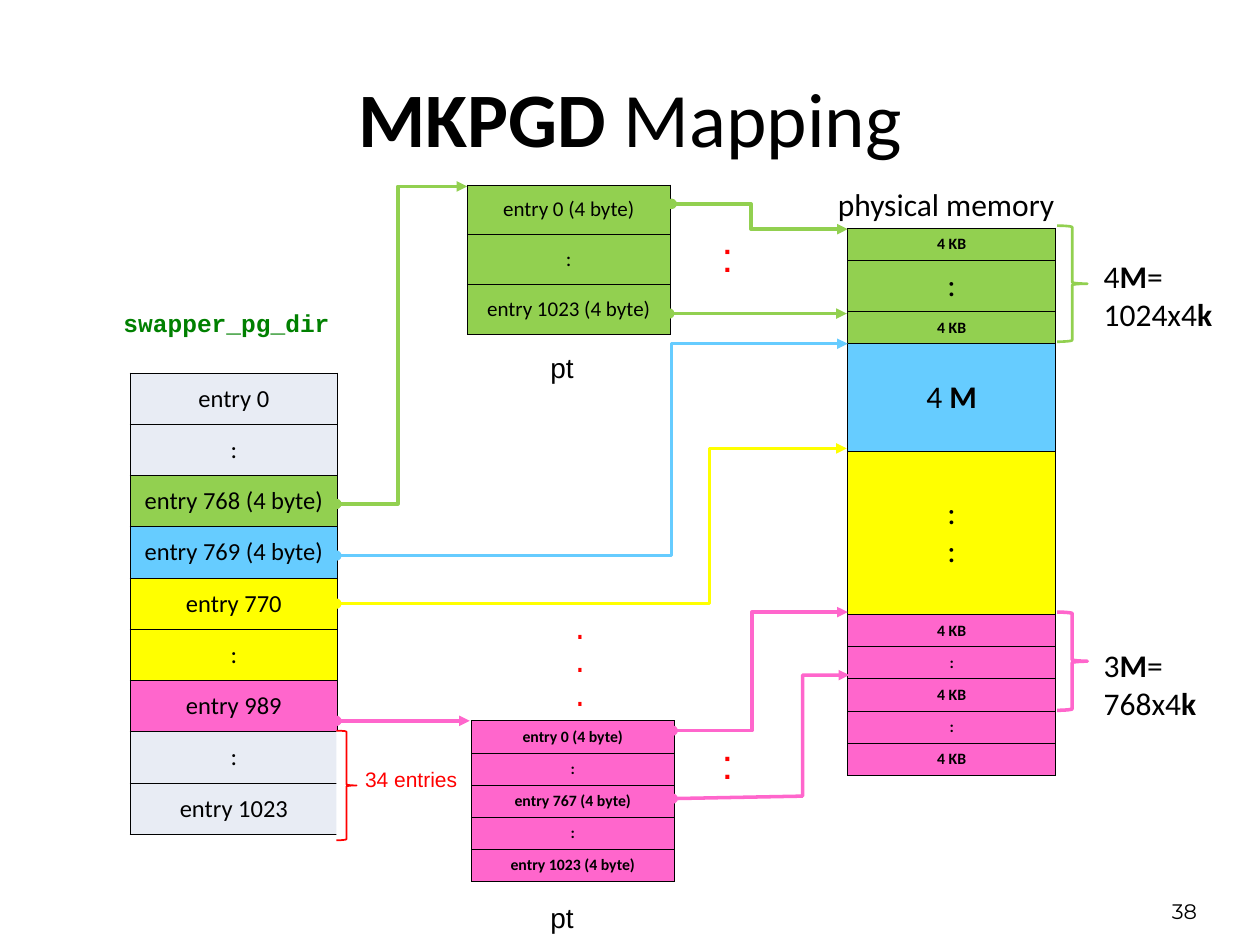
from dataclasses import dataclass
from typing import Optional

from lxml import etree
from pptx import Presentation
from pptx import util as u
from pptx.dml.color import RGBColor
from pptx.enum import shapes, text
from pptx.oxml.ns import qn

COLORS = {
    "ink": "000000", "paper": "FFFFFF", "grey": "E8ECF4", "green": "92D050",
    "blue": "66CCFF", "yellow": "FFFF00", "pink": "FF66CC",
    "red": "FF0000", "code": "008000",
}
ALIGN = text.PP_ALIGN
ANCHOR = text.MSO_ANCHOR
MARGINS = ("margin_left", "margin_top", "margin_right", "margin_bottom")


@dataclass
class Row:
    words: str
    color: str
    height: float
    size: int
    bold: bool = False


@dataclass
class Column:
    left: float
    top: float
    width: float
    rows: list[Row]


@dataclass
class Route:
    """Arrow from start to end; bend_x is where it turns, if it does."""
    color: str
    start: tuple[float, float]
    end: tuple[float, float]
    bend_x: Optional[float] = None
    bend_y: Optional[float] = None


@dataclass
class Brace:
    box: tuple[float, float, float, float]
    color: str
    weight: float
    filled: bool = True


@dataclass
class Label:
    words: str
    box: tuple[float, float, float, float]
    size: int
    font: str = "Calibri"
    color: str = "ink"
    align: ALIGN = ALIGN.LEFT
    anchor: ANCHOR = ANCHOR.TOP
    padded: bool = False


def rgb(name: str) -> RGBColor:
    return RGBColor.from_string(COLORS[name])


def apply(target, values: dict) -> None:
    for key, value in values.items():
        setattr(target, key, value)


def write(frame, words: str, align, font: str, size: int, color: str, bold=False) -> None:
    """One paragraph per line; text between ** marks is bold."""
    for number, line in enumerate(words.split("\n")):
        paragraph = frame.paragraphs[0] if number == 0 else frame.add_paragraph()
        paragraph.alignment = align
        for part, piece in enumerate(line.split("**")):
            if piece:
                run = paragraph.add_run()
                run.text = piece
                apply(run.font, {"name": font, "size": u.Pt(size),
                                 "bold": bold or part % 2 == 1})
                run.font.color.rgb = rgb(color)


def add_borders(cell) -> None:
    properties = cell._tc.get_or_add_tcPr()
    for place, side in enumerate(("lnL", "lnR", "lnT", "lnB")):
        border = etree.Element(qn(f"a:{side}"), w=str(u.Pt(0.45)))
        fill = etree.SubElement(border, qn("a:solidFill"))
        etree.SubElement(fill, qn("a:srgbClr"), val=COLORS["ink"])
        properties.insert(place, border)


def draw_column(slide, column: Column) -> None:
    height = sum(row.height for row in column.rows)
    table = slide.shapes.add_table(
        len(column.rows), 1, u.Cm(column.left), u.Cm(column.top),
        u.Cm(column.width), u.Cm(height)).table
    apply(table, {"first_row": False, "horz_banding": False})
    for number, row in enumerate(column.rows):
        table.rows[number].height = u.Cm(row.height)
        cell = table.cell(number, 0)
        apply(cell, dict.fromkeys(MARGINS, u.Cm(0.13)))
        cell.vertical_anchor = ANCHOR.MIDDLE
        cell.fill.solid()
        cell.fill.fore_color.rgb = rgb(row.color)
        add_borders(cell)
        write(cell.text_frame, row.words, ALIGN.CENTER, "Calibri", row.size, "ink", row.bold)


def draw_route(slide, route: Route) -> None:
    points = [route.start, route.end]
    if route.bend_x is not None:
        turn_y = route.start[1] if route.bend_y is None else route.bend_y
        points[1:1] = [(route.bend_x, turn_y), (route.bend_x, route.end[1])]
    points = [(u.Cm(x), u.Cm(y)) for x, y in points]
    straight = len(points) == 2
    if straight:
        arrow = slide.shapes.add_connector(
            shapes.MSO_CONNECTOR.STRAIGHT, *points[0], *points[1])
    else:
        outline = slide.shapes.build_freeform(*points[0])
        outline.add_line_segments(points[1:], close=False)
        arrow = outline.convert_to_shape()
        arrow.fill.background()
        arrow.shadow.inherit = False
    arrow.line.color.rgb = rgb(route.color)
    arrow.line.width = u.Pt(2)
    properties = arrow.element.spPr
    line = properties.find(qn("a:ln"))
    etree.SubElement(line, qn("a:headEnd"), type="oval")
    etree.SubElement(line, qn("a:tailEnd"), type="triangle")
    if straight:
        etree.SubElement(properties, qn("a:effectLst"))


def draw_brace(slide, brace: Brace) -> None:
    shape = slide.shapes.add_shape(shapes.MSO_SHAPE.RIGHT_BRACE, *map(u.Cm, brace.box))
    shape.shadow.inherit = False
    shape.adjustments[0] = 0.05
    if brace.filled:
        shape.fill.solid()
        shape.fill.fore_color.rgb = rgb("paper")
    else:
        shape.fill.background()
    shape.line.color.rgb = rgb(brace.color)
    shape.line.width = u.Pt(brace.weight)


def draw_label(slide, label: Label) -> None:
    frame = slide.shapes.add_textbox(*map(u.Cm, label.box)).text_frame
    side, end = (0.25, 0.13) if label.padded else (0, 0)
    apply(frame, dict(zip(MARGINS, map(u.Cm, (side, end, side, end)))))
    apply(frame, {"word_wrap": True, "vertical_anchor": label.anchor})
    write(frame, label.words, label.align, label.font, label.size, label.color)


# Page directory, the two page tables and physical memory
DIRECTORY = [("entry 0", "grey"), (":", "grey"), ("entry 768 (4 byte)", "green"),
             ("entry 769 (4 byte)", "blue"), ("entry 770", "yellow"), (":", "yellow"),
             ("entry 989", "pink"), (":", "grey"), ("entry 1023", "grey")]
FIRST_PT = ["entry 0 (4 byte)", ":", "entry 1023 (4 byte)"]
LAST_PT = ["entry 0 (4 byte)", ":", "entry 767 (4 byte)", ":", "entry 1023 (4 byte)"]
THIN = 0.64
COLUMNS = [
    Column(2.62, 7.52, 4.19, [Row(w, c, 9.3 / 9, 14) for w, c in DIRECTORY]),
    Column(9.42, 3.73, 4.09, [Row(w, "green", 1, 12) for w in FIRST_PT]),
    Column(17.09, 4.6, 4.19, [
        Row("4 KB", "green", THIN, 9, True), Row(":", "green", 1.02, 18),
        Row("4 KB", "green", THIN, 9, True), Row("4 **M**", "blue", 2.16, 18),
        Row(":\n:", "yellow", 3.3, 18),
        *[Row(w, "pink", THIN, 9, True) for w in ("4 KB", ":", "4 KB", ":", "4 KB")]]),
    Column(9.5, 14.53, 4.09, [Row(w, "pink", THIN, 9, True) for w in LAST_PT]),
]

# Arrows from entries to what they map
ROUTES = [
    Route("green", (6.78, 10.16), (9.42, 3.76), 8.02),
    Route("green", (13.54, 4.11), (17.09, 4.62), 15.14),
    Route("green", (13.49, 6.32), (17.07, 6.32)),
    Route("blue", (6.78, 11.2), (17.09, 6.93), 13.54),
    Route("yellow", (6.78, 12.17), (17.07, 9.04), 14.3),
    Route("pink", (6.78, 14.53), (9.47, 14.53)),
    Route("pink", (13.56, 14.73), (17.09, 12.34), 15.16),
    Route("pink", (13.56, 16.1), (17.12, 13.61), 16.18, 16.05),
]

BRACES = [
    Brace((21.31, 4.55, 0.61, 2.34), "green", 1.5, filled=False),
    Brace((6.78, 14.73, 0.41, 2.21), "red", 1),
    Brace((21.31, 12.34, 0.61, 1.98), "pink", 2),
]

# Title, captions, ellipses and page number
LABELS = [
    Label("**MKPGD** Mapping", (1.27, 0.76, 22.86, 3.18), 44,
          align=ALIGN.CENTER, anchor=ANCHOR.MIDDLE),
    Label("**swapper_pg_dir**", (2.49, 6.2, 4.72, 0.58), 14, "Courier New", "code"),
    Label("physical memory", (16.89, 3.73, 4.72, 0.76), 18),
    Label("4**M**= 1024x4**k**", (22.25, 5.18, 2.24, 1.52), 18),
    Label("3**M**= 768x4**k**", (22.25, 13.03, 2.24, 1.52), 18),
    Label(".\n.\n.", (11.1, 12.32, 1.19, 2.03), 16, "Courier New", "red", ALIGN.CENTER),
    Label("34 entries", (7.11, 15.32, 2.79, 0.76), 12, "Arial", "red", padded=True),
    *[Label("pt", (10.68, top, 1.3, 0.94), 16, "Arial", align=ALIGN.CENTER, padded=True)
      for top in (6.93, 18.03)],
    *[Label(":", (14.3, top, 0.81, 1.27), 24, "Arial", "red", padded=True)
      for top in (4.52, 14.73)],
    Label("38", (18.21, 18.11, 5.92, 0.51), 12, "Montserrat",
          align=ALIGN.RIGHT, anchor=ANCHOR.BOTTOM),
]


def main() -> None:
    deck = Presentation()
    apply(deck, {"slide_width": u.Cm(25.4), "slide_height": u.Cm(19.05)})
    slide = deck.slides.add_slide(deck.slide_layouts[6])
    for draw, parts in ((draw_column, COLUMNS), (draw_route, ROUTES),
                        (draw_brace, BRACES), (draw_label, LABELS)):
        for part in parts:
            draw(slide, part)
    deck.save("out.pptx")


if __name__ == "__main__":
    main()
